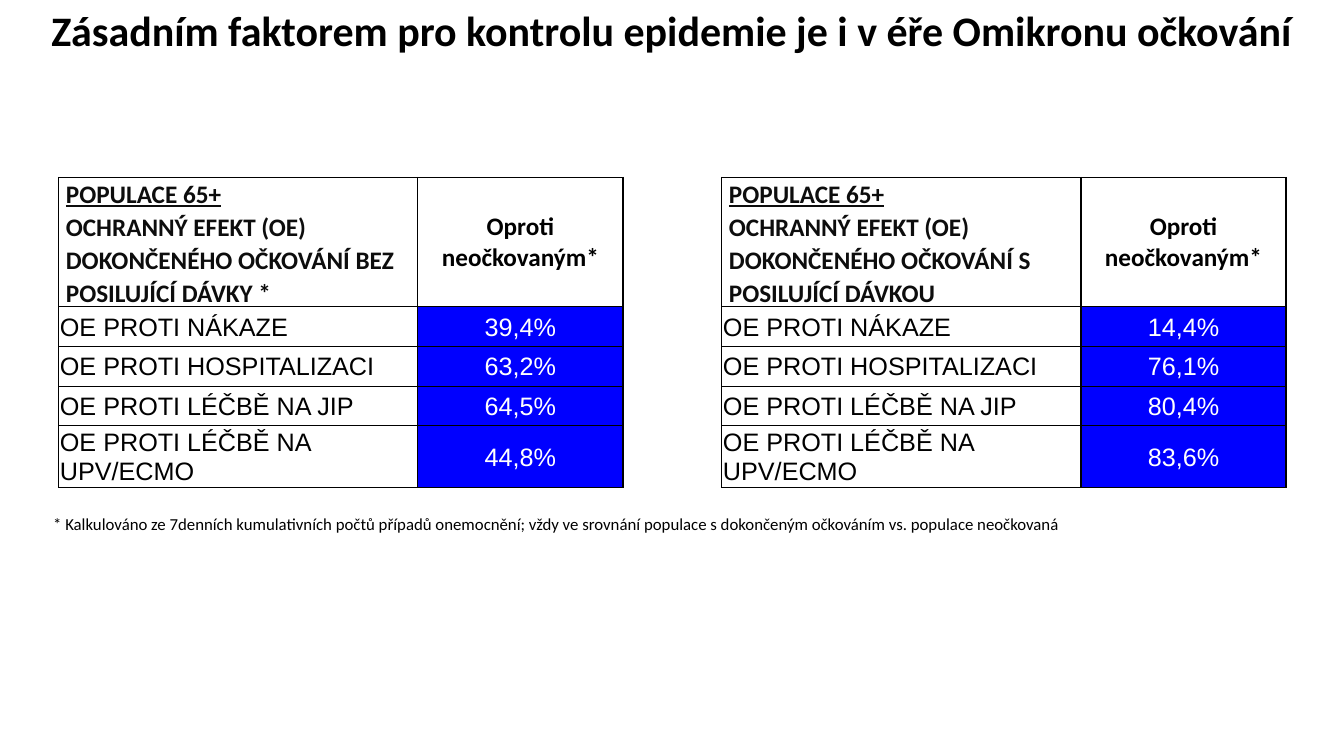
from lxml import etree
from pptx import Presentation
from pptx.dml.color import RGBColor
from pptx.enum.text import MSO_ANCHOR, PP_ALIGN
from pptx.oxml.ns import qn
from pptx.util import Cm, Pt

LEFT, CENTER = PP_ALIGN.LEFT, PP_ALIGN.CENTER
MIDDLE = MSO_ANCHOR.MIDDLE

# Content
TITLE = "Zásadním faktorem pro kontrolu epidemie je i v éře Omikronu očkování"
FOOTNOTE = ("* Kalkulováno ze 7denních kumulativních počtů případů onemocnění; "
            "vždy ve srovnání populace s dokončeným očkováním vs. populace neočkovaná")
POPULATION = "POPULACE 65+"
COMPARISON = "Oproti neočkovaným*"
OUTCOMES = ["OE PROTI NÁKAZE", "OE PROTI HOSPITALIZACI",
            "OE PROTI LÉČBĚ NA JIP", "OE PROTI LÉČBĚ NA UPV/ECMO"]
VACCINATIONS = [
    ("OCHRANNÝ EFEKT (OE) DOKONČENÉHO OČKOVÁNÍ BEZ POSILUJÍCÍ DÁVKY *",
     ["39,4%", "63,2%", "64,5%", "44,8%"]),
    ("OCHRANNÝ EFEKT (OE) DOKONČENÉHO OČKOVÁNÍ S POSILUJÍCÍ DÁVKOU",
     ["14,4%", "76,1%", "80,4%", "83,6%"]),
]
COLORS = {"black": "000000", "heading": "0D0D0D", "white": "FFFFFF", "effect": "0000FF"}

# Layout in centimetres
TABLE_LEFT, TABLE_TOP, TABLE_STEP = 1.48, 4.47, 16.71
COLUMN_WIDTHS = [9.05, 5.17]
ROW_HEIGHTS = [3.25, 1, 1, 1, 1.55]
HEADING_MARGINS = (0.18, 0, 0.18, 0)
CELL_MARGINS = (0.03, 0.03, 0.03, 0)


def add_run(paragraph, text, size=18, font="Calibri", color="black", bold=False, underline=False):
    run = paragraph.add_run()
    run.text = text
    run.font.size, run.font.name = Pt(size), font
    run.font.bold, run.font.underline = bold, underline
    run.font.color.rgb = RGBColor.from_string(COLORS[color])


def add_text(slide, box, text, align, **style):
    frame = slide.shapes.add_textbox(*map(Cm, box)).text_frame
    frame.word_wrap = True
    frame.paragraphs[0].alignment = align
    add_run(frame.paragraphs[0], text, **style)


def format_cell(cell, fill="white", margins=CELL_MARGINS):
    cell.vertical_anchor = MIDDLE
    cell.margin_left, cell.margin_top, cell.margin_right, cell.margin_bottom = map(Cm, margins)
    properties = cell._tc.get_or_add_tcPr()
    for side in ("lnL", "lnR", "lnT", "lnB"):
        border = etree.SubElement(properties, qn(f"a:{side}"), w=str(Pt(1)))
        border_fill = etree.SubElement(border, qn("a:solidFill"))
        etree.SubElement(border_fill, qn("a:srgbClr"), val=COLORS["black"])
    cell.fill.solid()
    cell.fill.fore_color.rgb = RGBColor.from_string(COLORS[fill])


def fill_cell(cell, text, align=LEFT, fill="white", **style):
    format_cell(cell, fill)
    paragraph = cell.text_frame.paragraphs[0]
    paragraph.alignment = align
    add_run(paragraph, text, **style)


def add_effect_table(slide, left, heading, effects):
    table = slide.shapes.add_table(
        len(ROW_HEIGHTS), len(COLUMN_WIDTHS), Cm(left), Cm(TABLE_TOP),
        Cm(sum(COLUMN_WIDTHS)), Cm(sum(ROW_HEIGHTS))).table
    table.first_row = table.horz_banding = False
    for column, width in zip(table.columns, COLUMN_WIDTHS):
        column.width = Cm(width)
    for row, height in zip(table.rows, ROW_HEIGHTS):
        row.height = Cm(height)

    # Heading row
    heading_cell = table.cell(0, 0)
    format_cell(heading_cell, margins=HEADING_MARGINS)
    frame = heading_cell.text_frame
    add_run(frame.paragraphs[0], POPULATION, color="heading", bold=True, underline=True)
    add_run(frame.add_paragraph(), heading, color="heading", bold=True)
    for paragraph in frame.paragraphs:
        paragraph.line_spacing = 1.07
    fill_cell(table.cell(0, 1), COMPARISON, CENTER, bold=True)

    # Protective effect by outcome
    for row, (outcome, effect) in enumerate(zip(OUTCOMES, effects), start=1):
        fill_cell(table.cell(row, 0), outcome, font="Arial")
        fill_cell(table.cell(row, 1), effect, CENTER, "effect", font="Arial", color="white")


def main():
    deck = Presentation()
    deck.slide_width, deck.slide_height = Cm(33.87), Cm(19.05)
    slide = deck.slides.add_slide(deck.slide_layouts[6])

    add_text(slide, (0.43, 0, 33.02, 1.55), TITLE, CENTER, size=30, bold=True)
    for index, (heading, effects) in enumerate(VACCINATIONS):
        add_effect_table(slide, TABLE_LEFT + index * TABLE_STEP, heading, effects)
    add_text(slide, (1.09, 12.83, 26.62, 0.76), FOOTNOTE, LEFT, size=12)

    deck.save("out.pptx")


if __name__ == "__main__":
    main()
